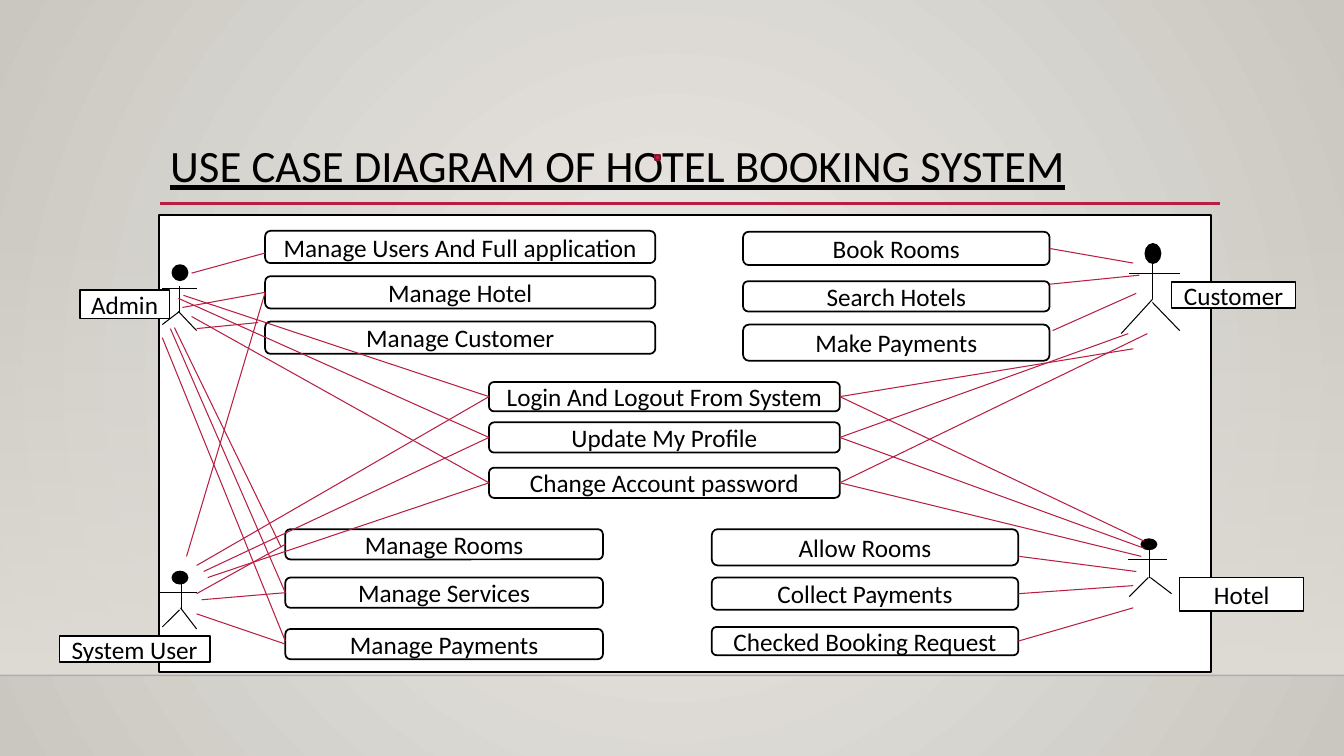
from lxml.etree import SubElement
from pptx import Presentation
from pptx.dml.color import RGBColor
from pptx.enum.shapes import MSO_CONNECTOR as Connector, MSO_SHAPE as Shape
from pptx.enum.text import MSO_ANCHOR as Anchor, PP_ALIGN as Align
from pptx.oxml.ns import qn
from pptx.util import Pt

PX = 9144  # 100 px to the inch
BLACK, WHITE, CRIMSON, SAND = "000000", "FFFFFF", "B71E42", "DFDBD5"
LEFT, RIGHT = 1, 3  # connection sites

# Columns of use cases: left, top, width, then (name, offset down, height)
USE_CASES = [
    (263, 229, 387, [("Manage Users And Full application", 0, 32),
                     ("Manage Hotel", 45, 32), ("Manage Customer", 90, 32)]),
    (283, 525, 315, [("Manage Rooms", 0, 30), ("Manage Services", 48, 30),
                     ("Manage Payments", 99, 30)]),
    (737, 230, 304, [("Book Rooms", 0, 33), ("Search Hotels", 49, 30),
                     ("Make Payments", 92, 36)]),
    (706, 525, 304, [("Allow Rooms", 0, 36), ("Collect Payments", 48, 32),
                     ("Checked Booking Request", 97, 28)]),
    (485, 379, 348, [("Login And Logout From System", 0, 29),
                     ("Update My Profile", 40, 30),
                     ("Change Account password", 85, 30)]),
]

# Actors; head, limbs, name plate and link starts are relative to "at".
# A link ends at a side of a use case, or at a free point.
ACTORS = [
    dict(name="Admin", at=(161, 263), head=(10, 0, 15, 15), plate=(-82, 25, 89, 28),
         limbs=[(17, 21, 17, 48), (0, 23, 34, 23), (17, 46, 0, 59), (16, 46, 34, 65)],
         links=[(29, 8, (102, -12)), (20, 42, "Manage Hotel"), (34, 63, (95, 57)),
                (21, 30, "Login And Logout From System"),
                (16, 33, "Update My Profile"),
                (29, 51, "Change Account password"),
                (12, 62, (118, 280)), (8, 63, "Manage Services"),
                (0, 72, (122, 373))], side=LEFT),
    dict(name="Customer", at=(1112, 242), head=(24, 0, 15, 19), plate=(50, 38, 123, 26),
         limbs=[(31, 19, 31, 55), (8, 29, 58, 29), (31, 55, 0, 89), (31, 58, 58, 86)],
         links=[(12, 19, "Book Rooms"), (18, 31, (-71, 40)), (15, 49, (-68, 86)),
                (12, 104, "Login And Logout From System"),
                (7, 89, "Update My Profile"),
                (26, 89, "Change Account password")], side=RIGHT),
    dict(name="System User", at=(159, 567), head=(12, 0, 15, 12), plate=(-100, 64, 149, 26),
         limbs=[(21, 12, 21, 38), (0, 21, 36, 21), (19, 38, 2, 55), (20, 36, 36, 57)],
         links=[(26, -15, "Manage Hotel"), (36, -6, "Login And Logout From System"),
                (43, 0, "Update My Profile"), (47, 6, "Change Account password"),
                (36, 22, "Manage Rooms"), (41, 28, "Manage Services"),
                (36, 42, "Manage Payments")], side=LEFT),
    dict(name="Hotel", at=(1119, 535), head=(13, 0, 15, 10), plate=(51, 38, 123, 33),
         limbs=[(21, 11, 21, 38), (0, 20, 38, 20), (22, 38, 43, 54), (20, 38, 1, 57)],
         links=[(16, 2, "Login And Logout From System"), (16, 9, "Update My Profile"),
                (13, 17, "Change Account password"), (8, 32, (-108, 17)),
                (5, 46, "Collect Payments"),
                (5, 68, "Checked Booking Request")], side=RIGHT),
]


def rgb(hex_color):
    return RGBColor.from_string(hex_color)


def emu(*lengths):
    return [length * PX for length in lengths]


def set_alpha(color_element, percent):
    SubElement(color_element, qn("a:alpha")).set("val", str(percent * 1000))


def write(frame, text, size):
    frame.text = text
    font = frame.paragraphs[0].runs[0].font
    font.name, font.size = "Calibri", Pt(size)
    font.color.rgb = rgb(BLACK)
    return font


def add_box(slide, kind, box, fill=WHITE, line=BLACK, text=None):
    shape = slide.shapes.add_shape(kind, *emu(*box))
    shape.shadow.inherit = False
    shape.fill.solid()
    shape.fill.fore_color.rgb = rgb(fill)
    shape.line.color.rgb = rgb(line)
    shape.line.width = Pt(1.25)
    if text:
        frame = shape.text_frame
        frame.word_wrap = True
        frame.vertical_anchor = Anchor.MIDDLE
        write(frame, text, 18)
        frame.paragraphs[0].alignment = Align.CENTER
    return shape


def add_line(slide, ends, color=BLACK, width=0.75):
    line = slide.shapes.add_connector(Connector.STRAIGHT, *emu(*ends))
    line.line.color.rgb = rgb(color)
    line.line.width = Pt(width)
    SubElement(line.element.spPr, qn("a:effectLst"))
    return line


def set_stops(fill, *colors):
    fill.gradient()
    for stop, color in zip(fill.gradient_stops, colors):
        stop.color.rgb = rgb(color)


def draw_backdrop(slide, width, height):
    # Radial background
    set_stops(slide.background.fill, "ECEAE7", "CAC7C1")
    gradient = slide.element.find(".//" + qn("p:bgPr")).find(qn("a:gradFill"))
    gradient.remove(gradient.find(qn("a:lin")))
    circle = SubElement(gradient, qn("a:path"), path="circle")
    SubElement(circle, qn("a:fillToRect"), l="50000", t="50000", r="50000", b="50000")
    # Wall fading in towards the floor line
    floor = height - 80
    wall = add_box(slide, Shape.RECTANGLE, (0, 221, width, floor - 221))
    wall.line.fill.background()
    set_stops(wall.fill, SAND, SAND)
    wall.fill.gradient_angle = 270
    set_alpha(wall.element.spPr.find(".//" + qn("a:srgbClr")), 0)
    edge = add_line(slide, (0, floor, width, floor), "000001", 1)
    set_alpha(edge.element.spPr.find(".//" + qn("a:srgbClr")), 20)


def draw_title(slide, left, top, width, height):
    add_line(slide, (left, top + height + 6, left + width + 1, top + height + 6), CRIMSON, 2.5)
    frame = slide.shapes.add_textbox(*emu(left, top, width, height)).text_frame
    frame.word_wrap = True
    frame.vertical_anchor = Anchor.BOTTOM
    write(frame, "USE CASE DIAGRAM OF HOTEL BOOKING SYSTEM", 32).underline = True
    frame.paragraphs[0].line_spacing = 0.9


def draw_use_cases(slide, left, top, width, rows):
    return {name: add_box(slide, Shape.ROUNDED_RECTANGLE,
                          (left, top + down, width, height), text=name)
            for name, down, height in rows}


def draw_actor(slide, cases, name, at, head, plate, limbs, links, side):
    x, y = at

    def placed(box):
        return (x + box[0], y + box[1], *box[2:])

    # Stick figure
    add_box(slide, Shape.OVAL, placed(head), BLACK)
    for x1, y1, x2, y2 in limbs:
        add_line(slide, (x + x1, y + y1, x + x2, y + y2))
    # Links to use cases
    for dx, dy, target in links:
        start = placed((dx, dy))
        if target in cases:
            add_line(slide, start + start, CRIMSON).end_connect(cases[target], side)
        else:
            add_line(slide, start + placed(target), CRIMSON)
    # Name plate
    add_box(slide, Shape.RECTANGLE, placed(plate), text=name)


def main():
    deck = Presentation()
    width, height = 1333, 750
    deck.slide_width, deck.slide_height = emu(width, height)
    slide = deck.slides.add_slide(deck.slide_layouts[6])
    draw_backdrop(slide, width, height)
    draw_title(slide, 159, 88, 1050, 108)
    # System boundary
    add_box(slide, Shape.RECTANGLE, (158, 213, 1043, 454))
    cases = {}
    for column in USE_CASES:
        cases.update(draw_use_cases(slide, *column))
    for actor in ACTORS:
        draw_actor(slide, cases, **actor)
    # Small marker over the title
    add_box(slide, Shape.RECTANGLE, (650, 154, 5, 5), CRIMSON, "871631")
    deck.save("out.pptx")


if __name__ == "__main__":
    main()
